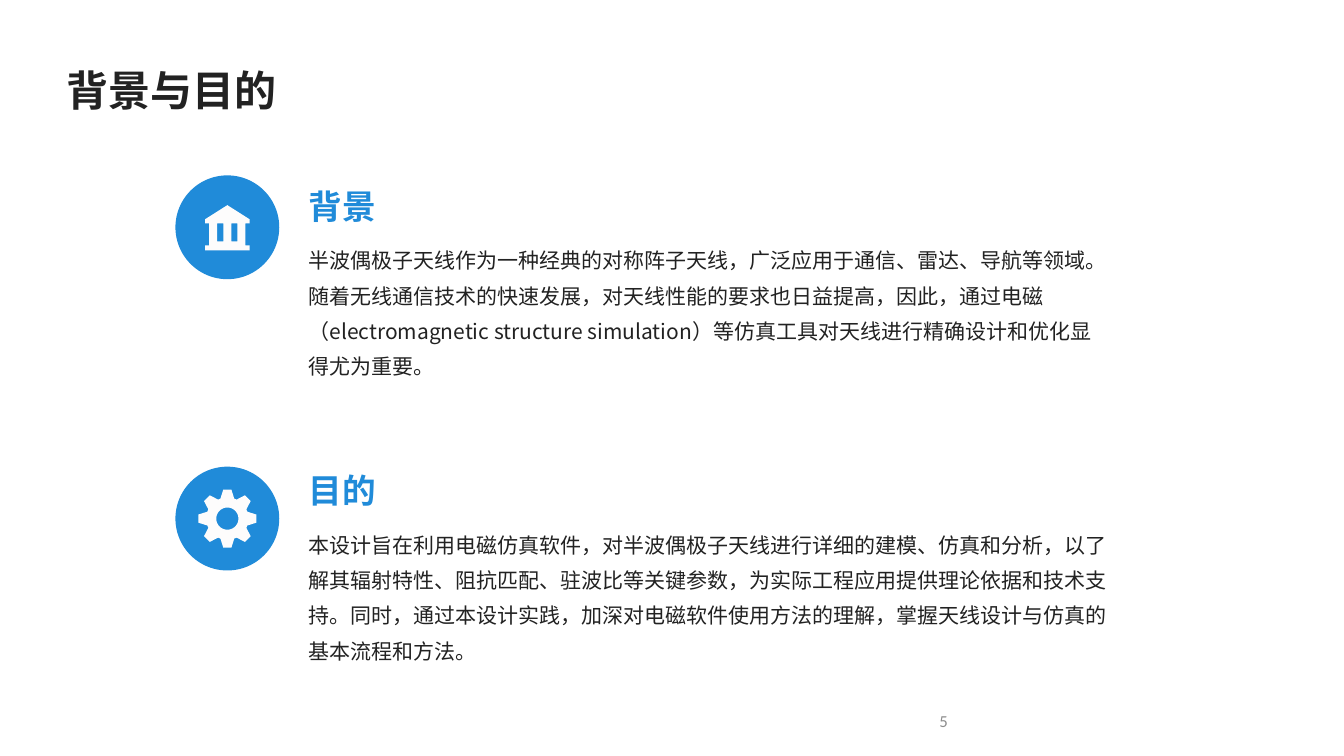
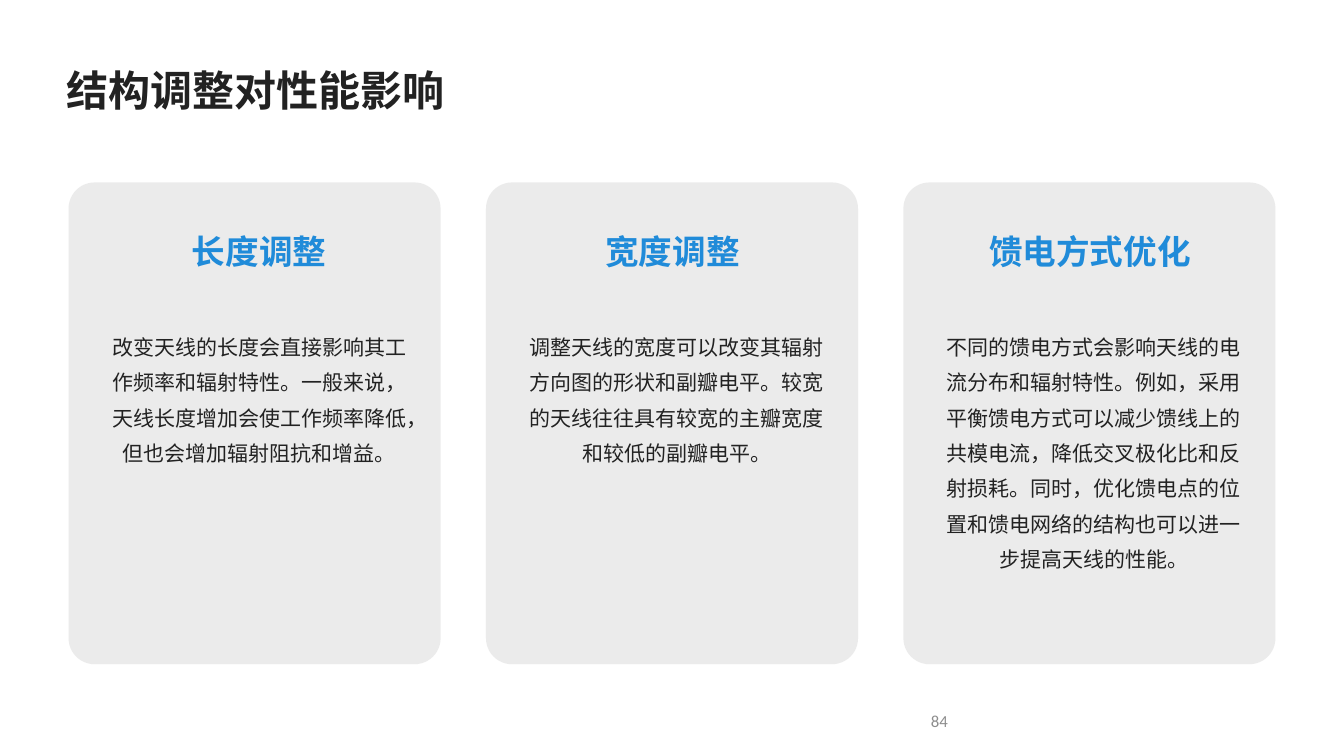
"""Build two slides on antenna design: background and purpose, and structure tuning."""
from math import cos, radians, sin

from lxml.etree import SubElement
from pptx import Presentation
from pptx.dml.color import RGBColor
from pptx.enum.shapes import MSO_SHAPE as Shape
from pptx.enum.text import MSO_ANCHOR as Anchor, PP_ALIGN as Align
from pptx.oxml.ns import qn
from pptx.util import Inches, Pt

WIDTH, HEIGHT = 13.33, 7.5
COLORS = {"ink": "222222", "accent": "208BD9", "card": "E7E7E7", "icon": "FDFCFC", "page": "8D8D8D"}
FONT, PAGE_FONT = "Noto Sans CJK SC", "Calibri"
WIDE_INSETS = (0.14, 0.14, 0.06, 0.14)
SLIM_INSETS = (0.07, 0.04, 0.07, 0.04)
NO_INSETS = (0, 0, 0, 0)
HEADING = {"size": 24, "color": "accent", "bold": True, "spacing": 1.2, "anchor": Anchor.MIDDLE}

SECTIONS = [
    ("背景", "半波偶极子天线作为一种经典的对称阵子天线，广泛应用于通信、雷达、导航等领域。"
     "随着无线通信技术的快速发展，对天线性能的要求也日益提高，因此，通过电磁"
     "（electromagnetic structure simulation）等仿真工具对天线进行精确设计和优化显得尤为重要。"),
    ("目的", "本设计旨在利用电磁仿真软件，对半波偶极子天线进行详细的建模、仿真和分析，"
     "以了解其辐射特性、阻抗匹配、驻波比等关键参数，为实际工程应用提供理论依据和技术支持。"
     "同时，通过本设计实践，加深对电磁软件使用方法的理解，掌握天线设计与仿真的基本流程和方法。"),
]
CARDS = [
    ("长度调整", WIDE_INSETS, "改变天线的长度会直接影响其工作频率和辐射特性。"
     "一般来说，天线长度增加会使工作频率降低，但也会增加辐射阻抗和增益。"),
    ("宽度调整", NO_INSETS, "调整天线的宽度可以改变其辐射方向图的形状和副瓣电平。"
     "较宽的天线往往具有较宽的主瓣宽度和较低的副瓣电平。"),
    ("馈电方式优化", NO_INSETS, "不同的馈电方式会影响天线的电流分布和辐射特性。"
     "例如，采用平衡馈电方式可以减少馈线上的共模电流，降低交叉极化比和反射损耗。"
     "同时，优化馈电点的位置和馈电网络的结构也可以进一步提高天线的性能。"),
]


def add_text(slide, text, box, size=15, color="ink", bold=False, font=FONT, spacing=1.4,
             align=Align.LEFT, anchor=Anchor.TOP, insets=SLIM_INSETS):
    frame = slide.shapes.add_textbox(*map(Inches, box)).text_frame
    frame.word_wrap = True
    frame.vertical_anchor = anchor
    frame.margin_left, frame.margin_top, frame.margin_right, frame.margin_bottom = map(Inches, insets)
    paragraph = frame.paragraphs[0]
    paragraph.alignment = align
    paragraph.line_spacing = spacing
    run = paragraph.add_run()
    run.text = text
    run.font.size, run.font.bold, run.font.name = Pt(size), bold, font
    run.font.color.rgb = RGBColor.from_string(COLORS[color])
    properties = run.font._element
    properties.set("lang", "zh-CN")
    SubElement(properties, qn("a:ea"), typeface=font)


def paint(shape, color, opacity=100):
    shape.shadow.inherit = False
    shape.fill.solid()
    shape.fill.fore_color.rgb = RGBColor.from_string(COLORS[color])
    shape.line.fill.background()
    if opacity < 100:
        color_element = shape.fill._xPr.find(qn("a:solidFill"))[0]
        SubElement(color_element, qn("a:alpha"), val=str(opacity * 1000))


def add_icon(slide, center_x, center_y, contours):
    placed = [[(Inches(center_x + x), Inches(center_y + y)) for x, y in contour] for contour in contours]
    builder = slide.shapes.build_freeform(*placed[0][0])
    for index, (first, *rest) in enumerate(placed):
        if index:
            builder.move_to(*first)
        builder.add_line_segments(rest, close=True)
    paint(builder.convert_to_shape(), "icon")


def polar(radius, angle):
    return radius * cos(radians(angle)), radius * sin(radians(angle))


def rectangle(left, top, right, bottom):
    return [(left, top), (right, top), (right, bottom), (left, bottom)]


def bank_contours():
    roof = [(-0.22, -0.08), (0, -0.22), (0.22, -0.08), (0.22, -0.04), (-0.22, -0.04)]
    columns = [rectangle(x - 0.04, -0.04, x + 0.04, 0.14) for x in (-0.14, 0, 0.14)]
    return [roof, *columns, rectangle(-0.18, 0.14, 0.18, 0.18), rectangle(-0.22, 0.18, 0.22, 0.23)]


def gear_contours():
    tooth = [(0.21, -19), (0.29, -8), (0.29, 8), (0.21, 19)]
    rim = [polar(radius, middle + offset) for middle in range(0, 360, 45) for radius, offset in tooth]
    hole = [polar(0.11, angle) for angle in range(360, 0, -6)]
    return [rim, hole]


def start_slide(presentation, title, page):
    slide = presentation.slides.add_slide(presentation.slide_layouts[6])
    add_text(slide, title, (0.52, 0.29, 12.29, 1), size=30, bold=True,
             anchor=Anchor.MIDDLE, insets=WIDE_INSETS)
    add_text(slide, page, (7.17, 6.95, 2.33, 0.4), size=12, color="page", font=PAGE_FONT, spacing=1.0,
             align=Align.RIGHT, anchor=Anchor.MIDDLE, insets=(0.1, 0.05, 0.1, 0.05))
    return slide


def build_background(presentation):
    slide = start_slide(presentation, "背景与目的", "5")
    left, width, disc = 2.99, 8.07, 1.03
    icons = (bank_contours(), gear_contours())
    for row, ((heading, body), contours) in enumerate(zip(SECTIONS, icons)):
        top = 1.73 + row * 2.82
        disc_left, disc_top = 1.74, 1.74 + row * 2.89
        add_text(slide, heading, (left, top, width, 0.54), **HEADING)
        add_text(slide, body, (left, top + 0.59, width, 1.67))
        paint(slide.shapes.add_shape(Shape.OVAL, *map(Inches, (disc_left, disc_top, disc, disc))), "accent")
        add_icon(slide, disc_left + disc / 2, disc_top + disc / 2, contours)


def build_adjustments(presentation):
    slide = start_slide(presentation, "结构调整对性能影响", "84")
    margin, top, width, height = 0.68, 1.81, 3.69, 4.78
    pitch = (WIDTH - 2 * margin - width) / (len(CARDS) - 1)
    for column, (heading, insets, body) in enumerate(CARDS):
        left = margin + column * pitch
        card = slide.shapes.add_shape(Shape.ROUNDED_RECTANGLE, *map(Inches, (left, top, width, height)))
        card.adjustments[0] = 0.07
        paint(card, "card", opacity=80)
        add_text(slide, heading, (left + 0.13, top + 0.27, 3.44, 0.75),
                 align=Align.CENTER, insets=insets, **HEADING)
        add_text(slide, body, (left + 0.21, top + 1.27, 3.28, 3.1),
                 align=Align.CENTER, insets=WIDE_INSETS)


def main():
    presentation = Presentation()
    presentation.slide_width, presentation.slide_height = Inches(WIDTH), Inches(HEIGHT)
    build_background(presentation)
    build_adjustments(presentation)
    presentation.save("out.pptx")


if __name__ == "__main__":
    main()
